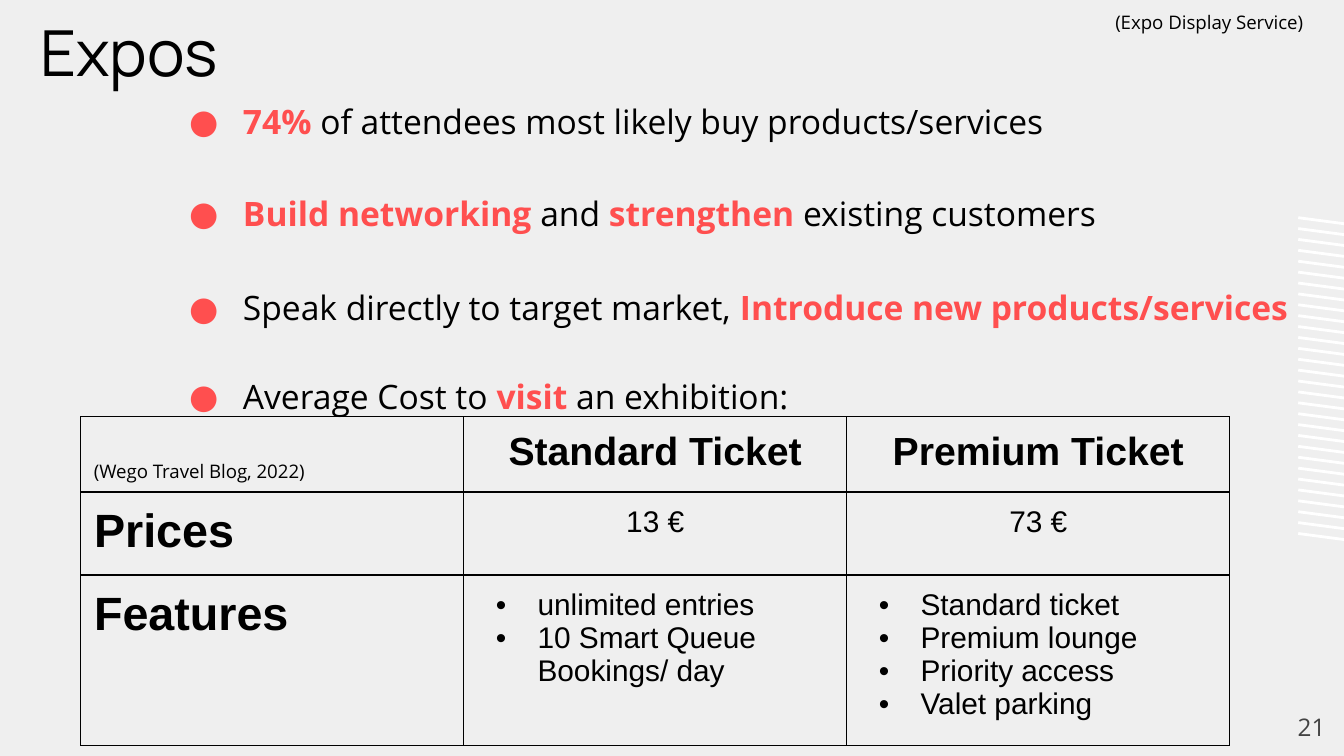
from lxml.etree import SubElement
from pptx import Presentation
from pptx.dml.color import RGBColor
from pptx.enum.text import MSO_ANCHOR, PP_ALIGN
from pptx.oxml import parse_xml
from pptx.oxml.ns import nsdecls, qn
from pptx.util import Inches, Pt

# The slide is a grid of 100 columns by 56.25 rows, 0.1 inch each
COLUMNS, ROWS = 100, 56.25
BLACK, CORAL, GREY, WHITE, PAPER = "000000", "FF4F4F", "434343", "FFFFFF", "EFEFEF"
BODY_FONT, TITLE_FONT, TABLE_FONT = "Open Sans", "Manrope", "Arial"

BULLETS = [  # row of the box, text with *emphasis*
    (5, "*74%* of attendees most likely buy products/services"),
    (11.85, "*Build networking* and *strengthen* existing customers"),
    (18.85, "Speak directly to target market, *Introduce new products/services*"),
    (25.45, "Average Cost to *visit* an exhibition:"),
]
TICKETS = [  # name, price, features
    ("Standard Ticket", "13 €", ["unlimited entries", "10 Smart Queue Bookings/ day"]),
    ("Premium Ticket", "73 €",
     ["Standard ticket", "Premium lounge", "Priority access", "Valet parking"]),
]


def grid(cells):
    return Inches(cells / 10)


def color(value):
    return RGBColor.from_string(value)


def style(font, name, size, value, bold=False):
    font.name, font.size, font.bold = name, Pt(size), bold
    font.color.rgb = color(value)


def add_bullet(para, mark, mark_font, mark_color, left, hang):
    """Give the paragraph a bullet; left and hang are in columns."""
    props = para._p.get_or_add_pPr()
    props.set("marL", str(grid(left)))
    props.set("indent", str(-grid(hang)))
    tint = SubElement(props, qn("a:buClr"))
    SubElement(tint, qn("a:srgbClr")).set("val", mark_color)
    SubElement(props, qn("a:buFont")).set("typeface", mark_font)
    SubElement(props, qn("a:buChar")).set("char", mark)


def add_box(page, place, anchor=MSO_ANCHOR.TOP):
    """Add a wrapped text box and return its first paragraph."""
    frame = page.shapes.add_textbox(*map(grid, place)).text_frame
    frame.word_wrap = True
    frame.vertical_anchor = anchor
    frame.margin_left = frame.margin_right = grid(1)
    frame.margin_top = frame.margin_bottom = grid(1)
    return frame.paragraphs[0]


def add_label(page, place, text, size, name=BODY_FONT, value=BLACK,
              align=PP_ALIGN.LEFT, anchor=MSO_ANCHOR.TOP):
    para = add_box(page, place, anchor)
    para.text, para.alignment = text, align
    style(para.font, name, size, value)


def add_stripes(page, place, count=30):
    """Fill the box with evenly spaced, slightly falling white lines."""
    left, top, width, height = place
    drop = 0.45
    pitch = (height - drop) / (count - 1)
    for index in range(count):
        start = top + index * pitch
        builder = page.shapes.build_freeform(grid(left), grid(start))
        builder.add_line_segments([(grid(left + width), grid(start + drop))], close=False)
        stripe = builder.convert_to_shape()
        stripe.shadow.inherit = False
        stripe.fill.background()
        stripe.line.color.rgb = color(WHITE)
        stripe.line.width = Pt(1.5)


def add_bullets(page, left, width):
    for top, text in BULLETS:
        para = add_box(page, (left, top, width, 6.6))
        para.line_spacing = 1.5
        add_bullet(para, "●", BODY_FONT, CORAL, 5, 4)
        para.font.name, para.font.size = BODY_FONT, Pt(18)
        for index, part in enumerate(text.split("*")):
            if part:
                span = para.add_run()
                span.text = part
                span.font.bold = index % 2 == 1
                span.font.color.rgb = color(CORAL if span.font.bold else BLACK)


def frame_cell(cell):
    """Clear the cell's fill, set its margins and draw its four borders."""
    cell.fill.background()
    cell.margin_left = cell.margin_right = grid(1)
    cell.margin_top = cell.margin_bottom = grid(1)
    props = cell._tc.get_or_add_tcPr()
    for index, side in enumerate(("lnL", "lnR", "lnT", "lnB")):
        props.insert(index, parse_xml(
            f'<a:{side} {nsdecls("a")} w="{Pt(0.75)}"><a:solidFill>'
            f'<a:srgbClr val="{BLACK}"/></a:solidFill></a:{side}>'))


def fill_cell(cell, lines, size, bold=False, align=PP_ALIGN.LEFT, bulleted=False):
    cell.text = "\n".join(lines)
    for para in cell.text_frame.paragraphs:
        para.alignment = align
        if bulleted:
            add_bullet(para, "•", TABLE_FONT, BLACK, 4.5, 3.1)
        style(para.font, TABLE_FONT, size, BLACK, bold)


def add_ticket_table(page, place, row_shares):
    table = page.shapes.add_table(3, 3, *map(grid, place)).table
    table.first_row = table.horz_banding = False
    for column in table.columns:
        column.width = grid(place[2] / 3)
    for row, share in zip(table.rows, row_shares):
        row.height = grid(place[3] * share)
    for cell in table.iter_cells():
        frame_cell(cell)
    # Row headings
    for row, heading in enumerate(["Prices", "Features"], 1):
        fill_cell(table.cell(row, 0), [heading], 25, bold=True)
    # One column for each ticket
    for column, (name, price, features) in enumerate(TICKETS, 1):
        fill_cell(table.cell(0, column), [name], 21, bold=True, align=PP_ALIGN.CENTER)
        fill_cell(table.cell(1, column), [price], 16, align=PP_ALIGN.CENTER)
        fill_cell(table.cell(2, column), features, 16, bulleted=True)


def build_expos(deck):
    page = deck.slides.add_slide(deck.slide_layouts[6])
    page.background.fill.solid()
    page.background.fill.fore_color.rgb = color(PAPER)
    add_stripes(page, (96.6, 16.2, 3.4, 23.95))
    # Title, page number and source
    add_label(page, (2, 0, 22.1, 16.7), "Expos", 34, name=TITLE_FONT)
    add_label(page, (93.6, 51.9, 6, 4.3), "21", 13, value=GREY,
              align=PP_ALIGN.RIGHT, anchor=MSO_ANCHOR.MIDDLE)
    add_label(page, (82, 0, 18, 3.7), "(Expo Display Service)", 10)
    # Ticket table with its source, then the arguments
    add_ticket_table(page, (6, 31, 85.5, 24.4), (0.23, 0.25, 0.52))
    add_label(page, (6, 33.4, 18, 3.7), "(Wego Travel Blog, 2022)", 10)
    add_bullets(page, 12.1, 86.7)


def main():
    deck = Presentation()
    deck.slide_width, deck.slide_height = grid(COLUMNS), grid(ROWS)
    build_expos(deck)
    deck.save("out.pptx")


if __name__ == "__main__":
    main()
